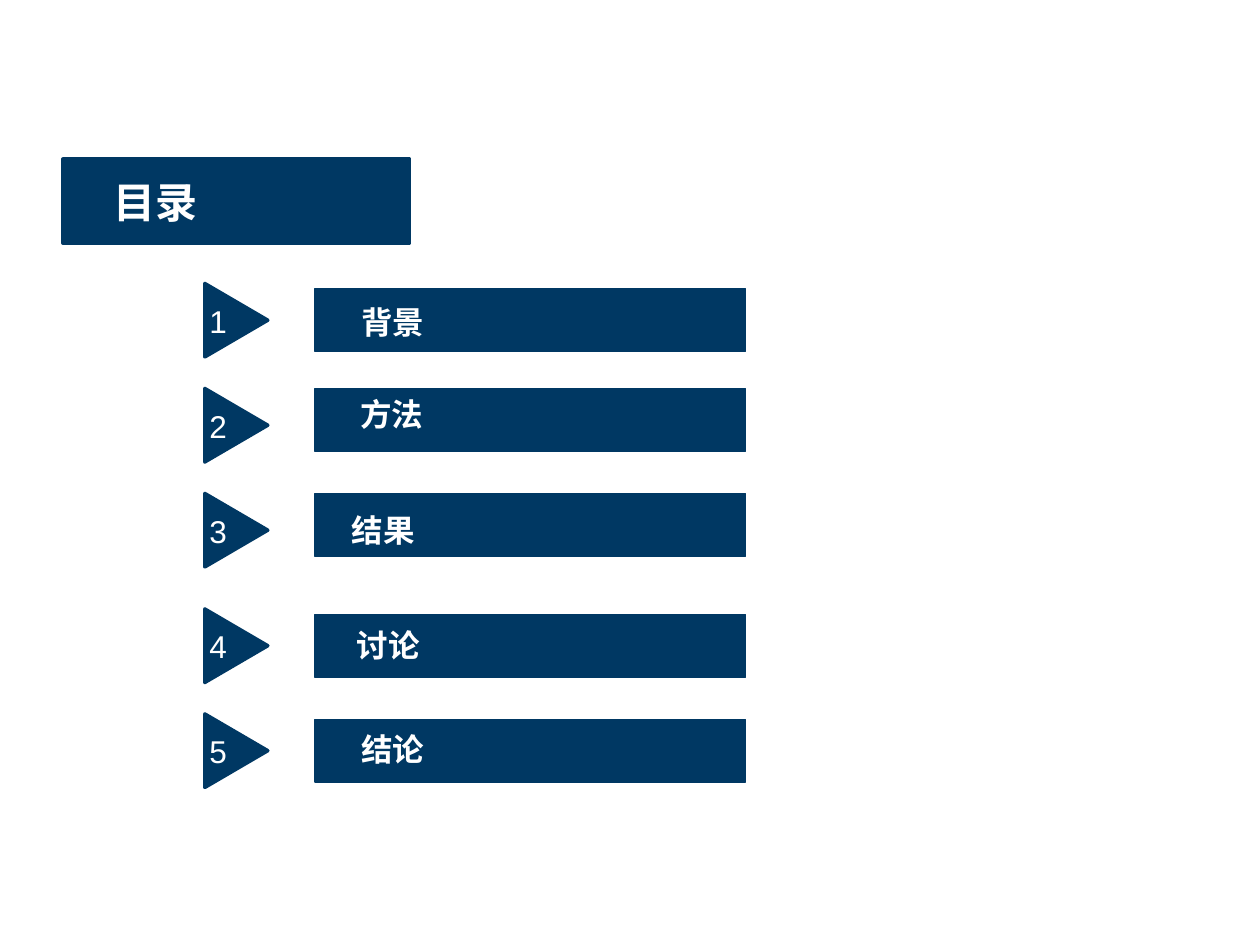
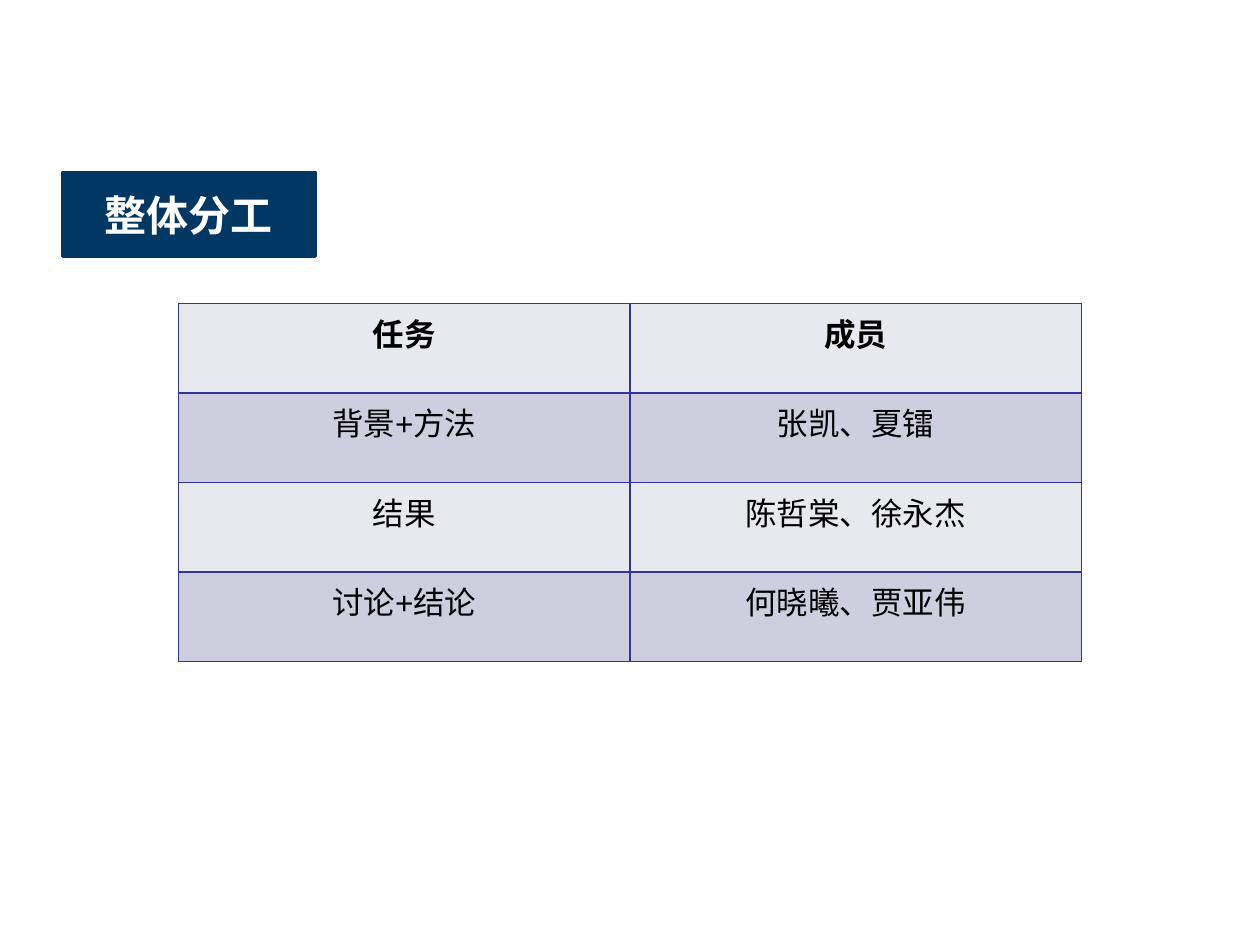
from lxml.etree import SubElement
from pptx import Presentation
from pptx.dml.color import RGBColor
from pptx.enum.shapes import MSO_SHAPE
from pptx.enum.text import MSO_ANCHOR, PP_ALIGN
from pptx.oxml.ns import qn
from pptx.util import Pt

NAVY, WHITE, BLACK = "003863", "FFFFFF", "000000"
BORDER = "333399"
ROW_FILLS = ["E8E8EF", "CECEDE"]
FONT = "Arial"

AGENDA_TITLE = "目录"
AGENDA = [
    {"label": "背景", "arrow_top": 165, "bar_top": 165, "label_at": (206.6, 169.5)},
    {"label": "方法", "arrow_top": 225, "bar_top": 222, "label_at": (206, 222)},
    {"label": "结果", "arrow_top": 285, "bar_top": 282, "label_at": (201, 288.5)},
    {"label": "讨论", "arrow_top": 351, "bar_top": 351, "label_at": (203.8, 354)},
    {"label": "结论", "arrow_top": 411, "bar_top": 411, "label_at": (206.6, 413.5)},
]

TEAM_TITLE = "整体分工"
TEAM = [
    ("任务", "成员"),
    ("背景+方法", "张凯、夏镭"),
    ("结果", "陈哲棠、徐永杰"),
    ("讨论+结论", "何晓曦、贾亚伟"),
]


def colour(value):
    return RGBColor.from_string(value)


def points(*lengths):
    return [Pt(length) for length in lengths]


def paint(shape, line_width):
    shape.fill.solid()
    shape.fill.fore_color.rgb = colour(NAVY)
    shape.line.color.rgb = colour(NAVY)
    shape.line.width = Pt(line_width)


def write(frame, text, size=18, bold=False, ink=WHITE, align=PP_ALIGN.LEFT):
    para = frame.paragraphs[0]
    para.alignment = align
    span = para.add_run()
    span.text = text
    span.font.name = FONT
    span.font.size = Pt(size)
    span.font.bold = bold
    span.font.color.rgb = colour(ink)


def add_page(deck, title, top, width, align, indent=7.2):
    page = deck.slides.add_slide(deck.slide_layouts[5])
    box = page.shapes.title
    box.left, box.top, box.width, box.height = points(36, top, width, 48)
    paint(box, 2)
    frame = box.text_frame
    frame.margin_left = Pt(indent)
    frame.vertical_anchor = MSO_ANCHOR.MIDDLE
    write(frame, title, 24, True, align=align)
    return page


def add_block(page, kind, left, top, width, height, line_width):
    block = page.shapes.add_shape(kind, *points(left, top, width, height))
    block.shadow.inherit = False
    paint(block, line_width)
    return block


def add_text(page, text, left, top, width, height, margin, bold=False):
    frame = page.shapes.add_textbox(*points(left, top, width, height)).text_frame
    frame.word_wrap = True
    frame.margin_left = frame.margin_right = Pt(margin)
    frame.margin_top = frame.margin_bottom = Pt(margin / 2)
    frame.vertical_anchor = MSO_ANCHOR.MIDDLE
    write(frame, text, bold=bold)


def add_agenda(deck):
    page = add_page(deck, AGENDA_TITLE, 91, 198, PP_ALIGN.LEFT, 28.8)
    for number, item in enumerate(AGENDA, 1):
        arrow_top = item["arrow_top"]
        arrow = add_block(page, MSO_SHAPE.FLOWCHART_EXTRACT, 114, arrow_top, 42, 36, 2)
        arrow.rotation = 90
        add_block(page, MSO_SHAPE.RECTANGLE, 180, item["bar_top"], 246, 36, 0.75)
        add_text(page, str(number), 112.5, arrow_top + 3.6, 60, 29, 7.2)
        add_text(page, item["label"], *item["label_at"], 160, 29, 0, True)


def add_borders(cell):
    properties = cell._tc.get_or_add_tcPr()
    for position, side in enumerate(("lnL", "lnR", "lnT", "lnB")):
        line = properties.makeelement(qn(f"a:{side}"), {"w": str(Pt(1))})
        properties.insert(position, line)
        fill = SubElement(line, qn("a:solidFill"))
        SubElement(fill, qn("a:srgbClr"), val=BORDER)


def add_team(deck):
    page = add_page(deck, TEAM_TITLE, 98.5, 144, PP_ALIGN.CENTER)
    frame = page.shapes.add_table(
        len(TEAM), len(TEAM[0]), *points(102, 173.5, 516, 204.6)
    )
    for row, entries in enumerate(TEAM):
        for column, text in enumerate(entries):
            cell = frame.table.cell(row, column)
            cell.fill.solid()
            cell.fill.fore_color.rgb = colour(ROW_FILLS[row % 2])
            write(cell.text_frame, text, 18, row == 0, BLACK, PP_ALIGN.CENTER)
            add_borders(cell)


def main():
    deck = Presentation()
    deck.slide_width, deck.slide_height = points(720, 540)
    add_agenda(deck)
    add_team(deck)
    deck.save("out.pptx")


if __name__ == "__main__":
    main()
